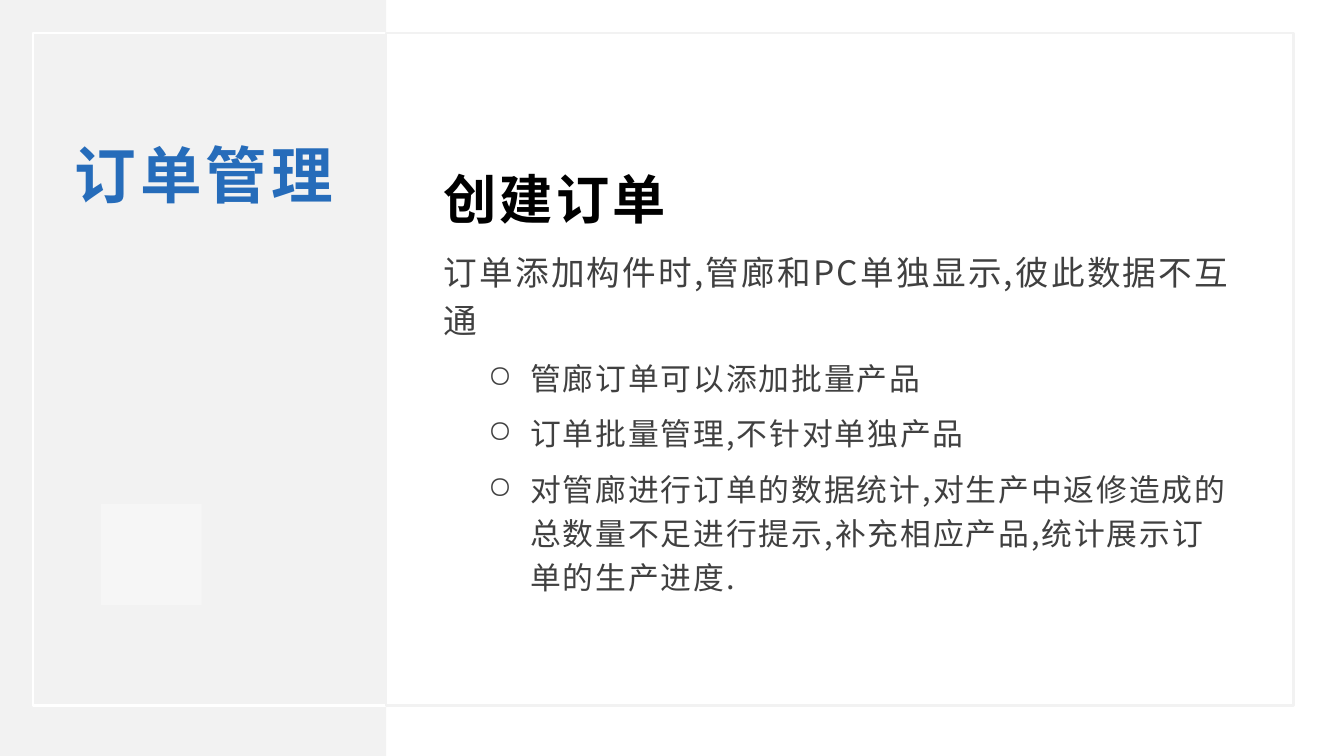
import dataclasses
import typing

import lxml.etree
import pptx
import pptx.dml.color
import pptx.enum.shapes
import pptx.enum.text
import pptx.oxml.ns
import pptx.util

Inches = pptx.util.Inches
Point = tuple[float, float]


@dataclasses.dataclass(frozen=True)
class Theme:
    font: str = "Noto Sans CJK SC"
    white: str = "FFFFFF"
    pale: str = "F2F2F2"
    blue: str = "266CBA"
    black: str = "000000"
    gray: str = "404040"
    title: int = 44
    head: int = 38
    lead: int = 24
    item: int = 22
    line: float = 1.5


@dataclasses.dataclass(frozen=True)
class Panel:
    left: float
    top: float
    width: float
    height: float
    fill: str | None = None
    line: str | None = None


@dataclasses.dataclass(frozen=True)
class Quote:
    left: float
    alpha: int


THEME = Theme()
SPLIT = 3.83
PANELS = [
    Panel(0, 0, SPLIT, 7.5, fill=THEME.pale),
    Panel(0.33, 0.33, 3.5, 6.67, line=THEME.white),
    Panel(SPLIT, 0.33, 9, 6.67, line=THEME.pale),
]
QUOTES = [Quote(1.41, 36), Quote(0.75, 34)]
QUOTE_TOP = 5.13
LEAD = "订单添加构件时,管廊和PC单独显示,彼此数据不互通"
ITEMS = [
    "管廊订单可以添加批量产品",
    "订单批量管理,不针对单独产品",
    "对管廊进行订单的数据统计,对生产中返修造成的总数量不足进行提示,补充相应产品,统计展示订单的生产进度.",
]


def color(code: str) -> pptx.dml.color.RGBColor:
    return pptx.dml.color.RGBColor.from_string(code)


def add_tag(parent: typing.Any, tag: str, **attrs: str) -> None:
    lxml.etree.SubElement(parent, pptx.oxml.ns.qn(tag), attrs)


def add_panel(slide: typing.Any, panel: Panel) -> None:
    shape = slide.shapes.add_shape(
        pptx.enum.shapes.MSO_SHAPE.RECTANGLE, Inches(panel.left),
        Inches(panel.top), Inches(panel.width), Inches(panel.height))
    shape.shadow.inherit = False
    if panel.fill:
        shape.fill.solid()
        shape.fill.fore_color.rgb = color(panel.fill)
    else:
        shape.fill.background()
    if panel.line:
        shape.line.color.rgb = color(panel.line)
        shape.line.width = pptx.util.Pt(THEME.line)
    else:
        shape.line.fill.background()


def curve(a: Point, b: Point, c: Point, d: Point, steps: int = 12) -> list[Point]:
    """Sample a cubic Bezier curve, leaving out its start."""
    points = []
    for step in range(1, steps + 1):
        t = step / steps
        u = 1 - t
        points.append(tuple(
            u**3 * p + 3 * u * u * t * q + 3 * u * t * t * r + t**3 * s
            for p, q, r, s in zip(a, b, c, d)))
    return points


def add_quote(slide: typing.Any, quote: Quote) -> None:
    outline = [
        (0.5, 1.01), (0, 1.01), (0, 0.57),
        *curve((0, 0.57), (0.02, 0.19), (0.35, 0), (0.35, 0)),
        (0.37, 0.03), (0.45, 0.1), (0.47, 0.11),
        *curve((0.47, 0.11), (0.47, 0.11), (0.28, 0.25), (0.26, 0.51)),
        (0.5, 0.51),
    ]
    points = [(quote.left + x, QUOTE_TOP + y) for x, y in outline]
    pen = slide.shapes.build_freeform(*points[0], scale=float(Inches(1)))
    pen.add_line_segments(points[1:], close=True)
    shape = pen.convert_to_shape()
    shape.shadow.inherit = False
    shape.line.fill.background()
    shape.fill.solid()
    shape.fill.fore_color.rgb = color(THEME.white)
    tint = shape.fill._xPr.find(".//" + pptx.oxml.ns.qn("a:srgbClr"))
    add_tag(tint, "a:alpha", val=str(quote.alpha * 1000))


def add_box(slide: typing.Any, left: float, top: float, width: float,
            height: float, low: bool = False) -> typing.Any:
    """Add a wrapping text frame, with its text at the bottom if low."""
    frame = slide.shapes.add_textbox(
        Inches(left), Inches(top), Inches(width), Inches(height)).text_frame
    frame.word_wrap = True
    frame.margin_left = frame.margin_right = Inches(0.07)
    frame.margin_top = frame.margin_bottom = Inches(0.03)
    anchor = pptx.enum.text.MSO_ANCHOR
    frame.vertical_anchor = anchor.BOTTOM if low else anchor.TOP
    return frame


def write(para: typing.Any, text: str, *, size: int, tint: str, gap: float,
          bold: bool = False, body: bool = False, bullet: str = "") -> None:
    """Fill a paragraph; gap is the letter spacing in points."""
    run = para.add_run()
    run.text = text
    font = run.font
    font.size = pptx.util.Pt(size)
    font.bold = bold
    font.color.rgb = color(tint)
    font.name = THEME.font
    props = run._r.get_or_add_rPr()
    props.set("spc", str(round(gap * 100)))
    add_tag(props, "a:ea", typeface=THEME.font)
    if body:
        para.line_spacing = 1.2
        para.space_after = pptx.util.Pt(8)
    if bullet:
        para.level = 1
        props = para._p.get_or_add_pPr()
        props.set("marL", str(Inches(0.86)))
        props.set("indent", str(Inches(-0.42)))
        add_tag(props, "a:buChar", char=bullet)


def main() -> None:
    deck = pptx.Presentation()
    deck.slide_width, deck.slide_height = Inches(13.33), Inches(7.5)
    slide = deck.slides.add_slide(deck.slide_layouts[6])
    for panel in PANELS:
        add_panel(slide, panel)
    for quote in QUOTES:
        add_quote(slide, quote)

    title = add_box(slide, 0.67, 1.33, 2.83, 1.5)
    write(title.paragraphs[0], "订单管理", size=THEME.title, tint=THEME.blue,
          gap=2.8, bold=True)
    head = add_box(slide, 4.33, 1.33, 8, 0.98, low=True)
    write(head.paragraphs[0], "创建订单", size=THEME.head, tint=THEME.black,
          gap=2.2, bold=True)
    body = add_box(slide, 4.33, 2.39, 8, 3.61)
    write(body.paragraphs[0], LEAD, size=THEME.lead, tint=THEME.gray,
          gap=1.6, body=True)
    for item in ITEMS:
        write(body.add_paragraph(), item, size=THEME.item, tint=THEME.gray,
              gap=1.4, body=True, bullet="○")
    deck.save("out.pptx")


if __name__ == "__main__":
    main()
